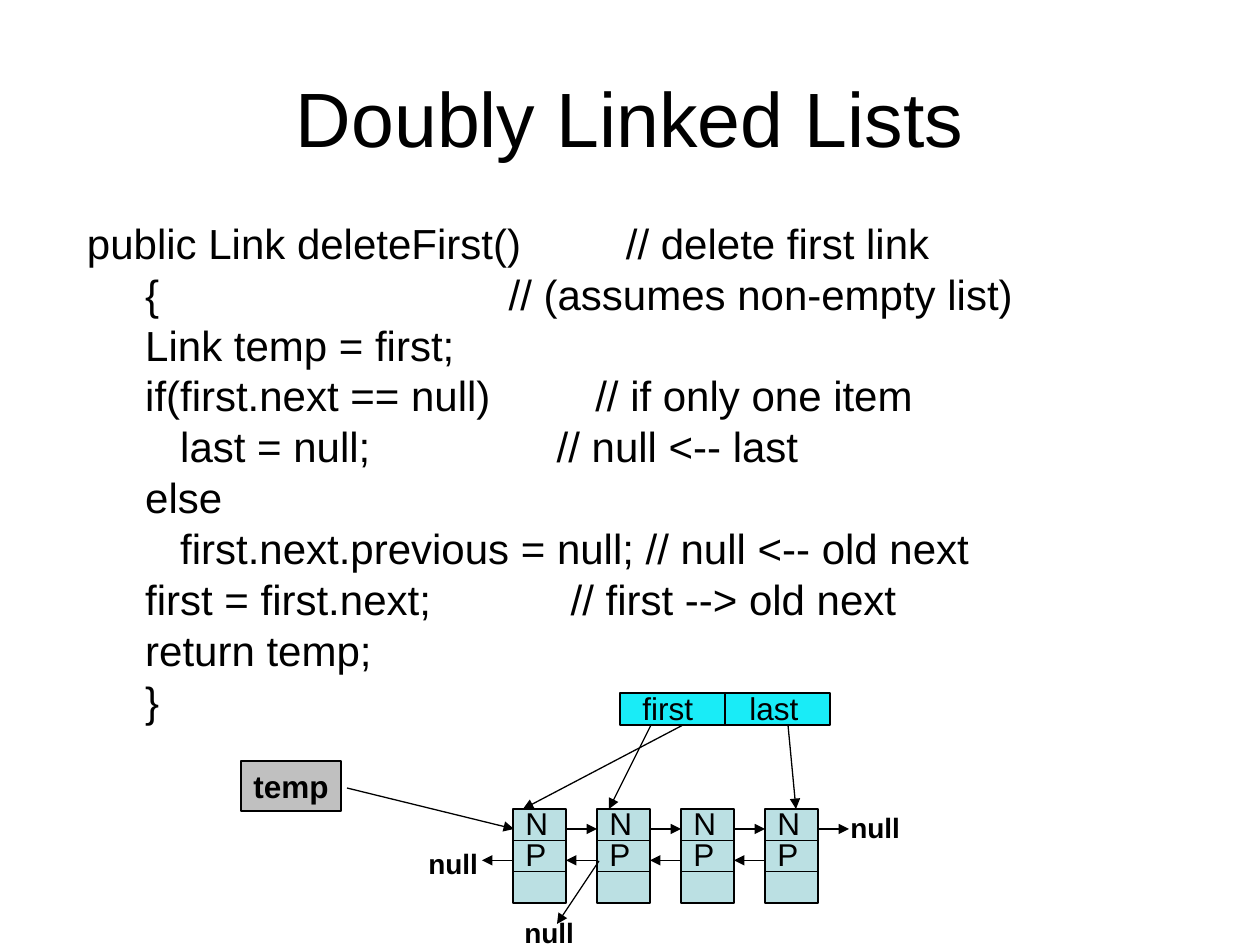
import pptx
import pptx.util
import pptx.dml.color
import pptx.enum.shapes
import pptx.enum.text
import pptx.oxml.ns
from lxml import etree

TITLE = "Doubly Linked Lists"
CODE = [
    " public Link deleteFirst()         // delete first link",
    "      {                              // (assumes non-empty list)",
    "      Link temp = first;",
    "      if(first.next == null)         // if only one item",
    "         last = null;                // null <-- last",
    "      else",
    "         first.next.previous = null; // null <-- old next",
    "      first = first.next;            // first --> old next",
    "      return temp;",
    "      }",
]
NODE_COUNT = 4
NODE_FIELDS = ["N", "P"]
NODE = {"left": 513, "top": 809, "width": 53, "height": 94, "pitch": 84}
LIST_HANDLE = (620, 693, 210, 32)
HANDLE_LABELS = [("first", (630, 683, 76, 50)), ("last", (737, 683, 75, 50))]
NULL_LABELS = [(838, 804, 78, 47), (416, 840, 78, 47), (512, 909, 78, 47)]
TEMP = ("temp", (241, 761, 100, 50))
POINTERS = [
    ((683, 725), (523, 809)),
    ((788, 725), (796, 809)),
    ((347, 788), (514, 829)),
    ((599, 861), (557, 924)),
    ((651, 725), (609, 809)),
]

THEME = {
    "font": "Arial",
    "ink": "000000",
    "node": "BBE0E3",
    "handle": "19ECF7",
    "temp": "C0C0C0",
    "title": 44,
    "code": 24,
    "label": 18,
    "null": 16,
    "line": 0.75,
}
PX = 914400 / 126


def emu(*lengths):
    return [round(length * PX) for length in lengths]


def color(key):
    return pptx.dml.color.RGBColor.from_string(THEME[key])


def apply(target, values):
    for name, value in values.items():
        setattr(target, name, value)


def write(shape, lines, size, bold=False, wrap=False, paragraph_format=None, hanging=0):
    frame = shape.text_frame
    left, top = emu(12.6, 6.3)
    apply(frame, {
        "word_wrap": wrap,
        "margin_left": left, "margin_right": left,
        "margin_top": top, "margin_bottom": top,
    })
    for index, line in enumerate(lines):
        paragraph = frame.paragraphs[0] if index == 0 else frame.add_paragraph()
        paragraph.text = line
        apply(paragraph, paragraph_format or {"alignment": pptx.enum.text.PP_ALIGN.LEFT})
        if index == 0:
            paragraph.space_before = pptx.util.Pt(0)
        if hanging:
            indent = emu(hanging)[0]
            properties = paragraph._p.get_or_add_pPr()
            properties.set("marL", str(indent))
            properties.set("indent", str(-indent))
        font = paragraph.runs[0].font
        apply(font, {"name": THEME["font"], "size": pptx.util.Pt(THEME[size]), "bold": bold})
        font.color.rgb = color("ink")
    return frame


def add_label(shapes, text, box, size, bold=False):
    frame = write(shapes.add_textbox(*emu(*box)), [text], size, bold)
    frame.auto_size = pptx.enum.text.MSO_AUTO_SIZE.SHAPE_TO_FIT_TEXT


def add_box(shapes, box, fill):
    shape = shapes.add_shape(pptx.enum.shapes.MSO_SHAPE.RECTANGLE, *emu(*box))
    shape.shadow.inherit = False
    shape.fill.solid()
    shape.fill.fore_color.rgb = color(fill)
    shape.line.color.rgb = color("ink")
    shape.line.width = pptx.util.Pt(THEME["line"])
    return shape


def add_line(shapes, start, end, arrow=False):
    line = shapes.add_connector(
        pptx.enum.shapes.MSO_CONNECTOR.STRAIGHT, *emu(*start, *end))
    line.line.color.rgb = color("ink")
    line.line.width = pptx.util.Pt(THEME["line"])
    if arrow:
        head = etree.SubElement(line.line._get_or_add_ln(), pptx.oxml.ns.qn("a:tailEnd"))
        head.set("type", "triangle")
    etree.SubElement(line._element.spPr, pptx.oxml.ns.qn("a:effectLst"))
    return line


def add_node(shapes, index):
    left = NODE["left"] + index * NODE["pitch"]
    right = left + NODE["width"]
    top, row = NODE["top"], NODE["height"] / 3
    gap = NODE["pitch"] - NODE["width"]
    node = shapes.add_group_shape().shapes
    add_box(node, (left, top, NODE["width"], NODE["height"]), "node")
    for position, field in enumerate(NODE_FIELDS):
        divider = top + (position + 1) * row
        add_line(node, (left, divider), (right, divider))
        add_label(node, field, (left, top - 11 + position * row, 48, 50), "label")
    next_y, previous_y = top + 20, top + 20 + row
    add_line(shapes, (left, previous_y), (left - gap, previous_y), arrow=True)
    add_line(shapes, (right, next_y), (right + gap, next_y), arrow=True)


def main():
    deck = pptx.Presentation()
    deck.slide_width, deck.slide_height = emu(1260, 945)
    shapes = deck.slides.add_slide(deck.slide_layouts[6]).shapes

    write(shapes.add_textbox(*emu(63, 221, 1134, 514)), CODE, "code", wrap=True,
          paragraph_format={"line_spacing": 0.8, "space_before": pptx.util.Pt(6)},
          hanging=48)
    title = write(shapes.add_textbox(*emu(63, 38, 1134, 157)), [TITLE], "title", wrap=True,
                  paragraph_format={"alignment": pptx.enum.text.PP_ALIGN.CENTER})
    title.vertical_anchor = pptx.enum.text.MSO_ANCHOR.MIDDLE

    for index in range(NODE_COUNT):
        add_node(shapes, index)

    handle = add_box(shapes, LIST_HANDLE, "handle")
    left, top, width, height = LIST_HANDLE
    middle = left + width / 2
    divider = add_line(shapes, (middle, top), (middle, top + height))
    divider.begin_connect(handle, 0)
    divider.end_connect(handle, 2)
    for text, box in HANDLE_LABELS:
        add_label(shapes, text, box, "label")

    for box in NULL_LABELS:
        add_label(shapes, "null", box, "null", bold=True)
    temp_text, temp_box = TEMP
    write(add_box(shapes, temp_box, "temp"), [temp_text], "label", bold=True)
    for start, end in POINTERS:
        add_line(shapes, start, end, arrow=True)

    deck.save("out.pptx")


if __name__ == "__main__":
    main()
